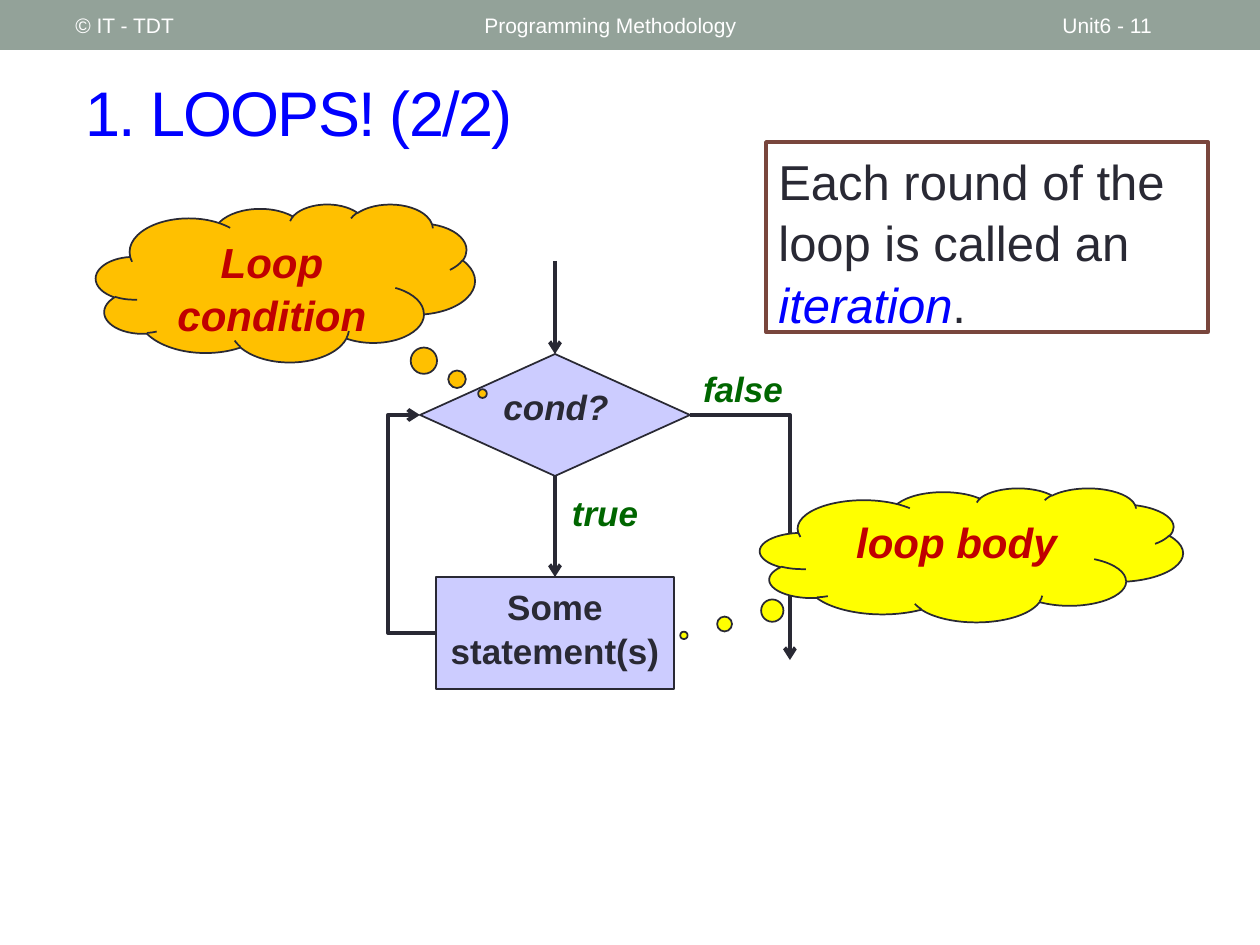
from lxml.etree import SubElement
from pptx import Presentation
from pptx.dml.color import RGBColor
from pptx.enum.shapes import MSO_CONNECTOR, MSO_SHAPE
from pptx.enum.text import MSO_ANCHOR, PP_ALIGN
from pptx.oxml.ns import qn
from pptx.util import Pt

SCALE = 914400 / 126
FONT = "Arial"
WHITE = RGBColor(0xFF, 0xFF, 0xFF)
SAGE = RGBColor(0x93, 0xA2, 0x99)
BLUE = RGBColor(0x00, 0x00, 0xFF)
INK = RGBColor(0x29, 0x29, 0x34)
LAVENDER = RGBColor(0xCC, 0xCC, 0xFF)
GREEN = RGBColor(0x00, 0x66, 0x00)
RED = RGBColor(0xC0, 0x00, 0x00)
YELLOW = RGBColor(0xFF, 0xFF, 0x00)
ORANGE = RGBColor(0xFF, 0xC0, 0x00)
BROWN = RGBColor(0x79, 0x46, 0x3D)


def px(*values):
    """Turn pixel lengths into EMU."""
    return [round(v * SCALE) for v in values]


def add_run(p, text, size, color, bold=False, italic=False):
    """Add one formatted run to a paragraph."""
    r = p.add_run()
    r.text = text
    r.font.name = FONT
    r.font.size = Pt(size)
    r.font.color.rgb = color
    r.font.bold = bold
    r.font.italic = italic
    return r


def write_lines(sp, lines, size, color, italic=True):
    """Write bold centred paragraphs into a shape."""
    tf = sp.text_frame
    tf.word_wrap = True
    tf.vertical_anchor = MSO_ANCHOR.TOP
    for i, text in enumerate(lines):
        p = tf.add_paragraph() if i else tf.paragraphs[0]
        p.alignment = PP_ALIGN.CENTER
        p.line_spacing = 1.05
        add_run(p, text, size, color, True, italic)


def add_box(s, kind, box, fill, line=None, width=1):
    """Add a filled preset shape."""
    sp = s.shapes.add_shape(kind, *px(*box))
    sp.shadow.inherit = False
    sp.fill.solid()
    sp.fill.fore_color.rgb = fill
    if line is None:
        sp.line.fill.background()
    else:
        sp.line.color.rgb = line
        sp.line.width = Pt(width)
    return sp


def add_caption(s, box, text, size, color):
    """Add a plain left-aligned, vertically centred text box."""
    tf = s.shapes.add_textbox(*px(*box)).text_frame
    tf.word_wrap = True
    tf.vertical_anchor = MSO_ANCHOR.MIDDLE
    return add_run(tf.paragraphs[0], text, size, color)


def add_label(s, box, text, color):
    """Add an italic flowchart label."""
    write_lines(s.shapes.add_textbox(*px(*box)), [text], 20, color)


def add_arrow(s, kind, start, end):
    """Add a connector with an open arrowhead at its end."""
    cn = s.shapes.add_connector(kind, *px(*start, *end))
    cn.line.color.rgb = INK
    cn.line.width = Pt(2.25)
    SubElement(cn.line._get_or_add_ln(), qn("a:tailEnd"), type="arrow")
    SubElement(cn._element.spPr, qn("a:effectLst"))
    return cn


def add_cloud(s, box, adjustments, fill, text):
    """Add a cloud callout with its thought."""
    sp = add_box(s, MSO_SHAPE.CLOUD_CALLOUT, box, fill, INK)
    for i, value in enumerate(adjustments):
        sp.adjustments[i] = value
    write_lines(sp, [text], 24, RED)


def add_header(s):
    """Add the top band, its captions and the title."""
    add_box(s, MSO_SHAPE.RECTANGLE, (0, 0, 1260, 50), SAGE)
    title = add_caption(s, (73, 53, 1155, 116), "1. LOOPS! (2/2)", 36, BLUE)
    title.font._element.set("spc", "-100")
    for x, w, text in ((472, 567, "Programming Methodology"),
                       (1050, 147, "Unit6 - 11"),
                       (63, 399, "© IT - TDT")):
        add_caption(s, (x, 3, w, 45), text, 12, WHITE)


def add_flowchart(s):
    """Add the loop flowchart."""
    decision = add_box(s, MSO_SHAPE.FLOWCHART_DECISION, (420, 354, 270, 122), LAVENDER, INK)
    entry = add_arrow(s, MSO_CONNECTOR.STRAIGHT, (555, 261), (555, 354))
    entry.end_connect(decision, 0)
    add_label(s, (471, 377, 170, 55), "cond?", INK)
    process = add_box(s, MSO_SHAPE.FLOWCHART_PROCESS, (436, 577, 238, 112), LAVENDER, INK)
    write_lines(process, ["Some", "statement(s)"], 20, INK, False)
    add_label(s, (538, 483, 134, 55), "true", GREEN)
    add_label(s, (683, 359, 120, 55), "false", GREEN)
    down = add_arrow(s, MSO_CONNECTOR.STRAIGHT, (555, 476), (555, 577))
    down.begin_connect(decision, 2)
    down.end_connect(process, 0)

    back = add_arrow(s, MSO_CONNECTOR.ELBOW, (420, 415), (436, 633))
    back.rotation = 180 if hasattr(back, "rotation") else None
    back._element.spPr.find(qn("a:xfrm")).set("rot", "10800000")
    geom = back._element.spPr.find(qn("a:prstGeom"))
    SubElement(geom.find(qn("a:avLst")), qn("a:gd"), name="adj1", fmla="val 300000")

    leave = add_arrow(s, MSO_CONNECTOR.ELBOW, (690, 415), (790, 660))
    leave._element.spPr.find(qn("a:prstGeom")).set("prst", "bentConnector2")


def add_definition(s):
    """Add the framed definition of an iteration."""
    sp = add_box(s, MSO_SHAPE.RECTANGLE, (766, 142, 442, 190), WHITE, BROWN, 2.08)
    tf = sp.text_frame
    tf.word_wrap = True
    tf.vertical_anchor = MSO_ANCHOR.TOP
    p = tf.paragraphs[0]
    p.alignment = PP_ALIGN.LEFT
    p.line_spacing = 1.05
    add_run(p, "Each round of the loop is called an ", 28, INK)
    add_run(p, "iteration", 28, BLUE, italic=True)
    add_run(p, ".", 28, INK)


def main():
    """Build and save the slide."""
    prs = Presentation()
    prs.slide_width, prs.slide_height = px(1260, 945)
    s = prs.slides.add_slide(prs.slide_layouts[6])
    add_header(s)
    add_flowchart(s)
    add_cloud(s, (760, 488, 423, 134), (-0.68, 0.6), YELLOW, "loop body")
    add_cloud(s, (96, 204, 379, 158), (0.52, 0.7), ORANGE, "Loop condition")
    add_definition(s)
    prs.save("out.pptx")


if __name__ == "__main__":
    main()
